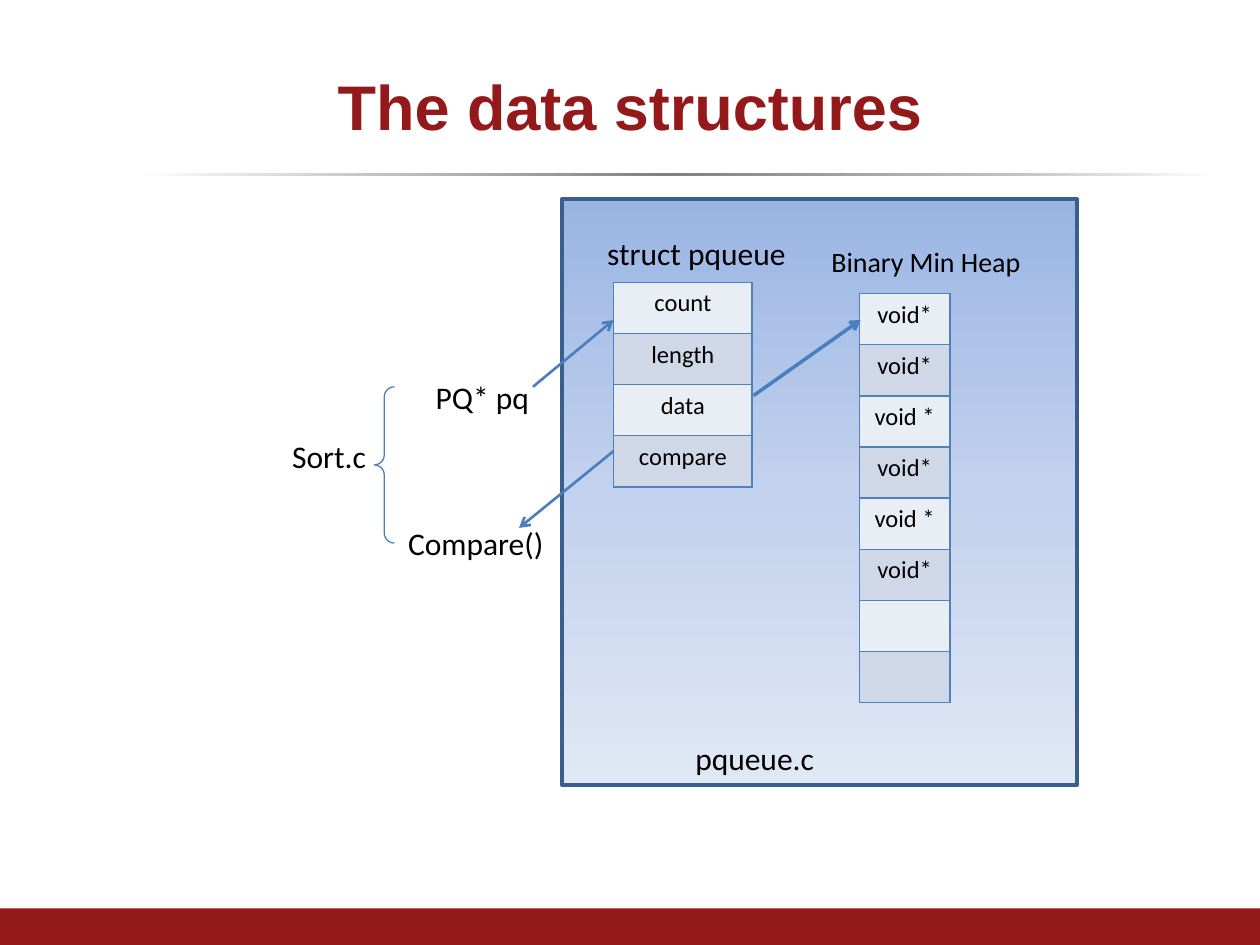
import pptx
import pptx.util
import pptx.dml.color
import pptx.enum.shapes
import pptx.enum.text
import pptx.oxml
import pptx.oxml.ns

THEME = {
    "title_font": "Arial", "body_font": "Calibri",
    "title_size": 36, "label_size": 18, "small_size": 16, "cell_size": 14,
    "accent": "93191B", "text": "000000", "arrow": "4B7EBC",
    "panel_line": "3A5F8C", "border": "4F81BD", "bands": ("E9EDF4", "D0D8E8"),
    "rule": [(0, "FFFFFF"), (24, "BFBFBF"), (49, "808080"), (80, "BFBFBF"), (100, "FFFFFF")],
    "panel": [(0, "9AB5E4"), (50, "C2D1ED"), (100, "E1E8F5")],
}
WIDTH, HEIGHT = 10, 7.5
ROW_HEIGHT = 3.25 / 8
TITLE = "The data structures"
TABLES = [
    (6.82, 2.33, 0.72, ["void*", "void*", "void *", "void*", "void *", "void*", "", ""]),
    (4.87, 2.24, 1.1, ["count", "length", "data", "compare"]),
]
LABELS = [
    ("Binary Min Heap", 6.5, 1.89, 2.06, 0.37, "small_size"),
    ("struct pqueue", 4.72, 1.81, 1.69, 0.4, "label_size"),
    ("PQ* pq", 3.36, 2.95, 1.5, 0.4, "label_size"),
    ("Compare()", 3.14, 4.11, 1.34, 0.4, "label_size"),
    ("Sort.c", 2.22, 3.42, 0.97, 0.4, "label_size"),
    ("pqueue.c", 5.42, 5.82, 1.96, 0.4, "label_size"),
]
ARROWS = [
    ((4.23, 3.07), (4.87, 2.54), 1.5),
    ((4.87, 3.58), (4.12, 4.19), 1.5),
    ((5.98, 3.14), (6.83, 2.54), 2),
]

SHAPES = pptx.enum.shapes.MSO_SHAPE
CENTER = pptx.enum.text.PP_ALIGN.CENTER
NAMESPACE = pptx.oxml.ns.nsdecls("a")


def inches(*values):
    return [pptx.util.Inches(value) for value in values]


def color(value):
    return pptx.dml.color.RGBColor.from_string(value)


def format_text(paragraph, size, font="body_font", ink="text", bold=False):
    for run in paragraph.runs:
        run.font.name = THEME[font]
        run.font.size = pptx.util.Pt(THEME[size])
        run.font.color.rgb = color(THEME[ink])
        run.font.bold = bold


def add_shape(kind, box, line=None, line_width=0):
    shape = slide.shapes.add_shape(kind, *inches(*box))
    shape.shadow.inherit = False
    shape.fill.background()
    if line:
        shape.line.color.rgb = color(THEME[line])
        shape.line.width = pptx.util.Pt(line_width)
    else:
        shape.line.fill.background()
    return shape


def fill_gradient(shape, stops, angle):
    shape.fill.gradient()
    gradient = shape._element.spPr.find(pptx.oxml.ns.qn("a:gradFill"))
    stop_xml = "".join(
        f'<a:gs pos="{position * 1000}"><a:srgbClr val="{value}"/></a:gs>'
        for position, value in stops)
    for child in list(gradient):
        gradient.remove(child)
    gradient.append(pptx.oxml.parse_xml(f"<a:gsLst {NAMESPACE}>{stop_xml}</a:gsLst>"))
    gradient.append(pptx.oxml.parse_xml(f'<a:lin {NAMESPACE} ang="{angle * 60000}" scaled="0"/>'))


def add_table(left, top, width, entries):
    box = inches(left, top, width, ROW_HEIGHT * len(entries))
    table = slide.shapes.add_table(len(entries), 1, *box).table
    table.first_row = False
    table.horz_banding = False
    for index, entry in enumerate(entries):
        table.rows[index].height = pptx.util.Inches(ROW_HEIGHT)
        cell = table.cell(index, 0)
        properties = cell._tc.get_or_add_tcPr()
        for side in ("lnL", "lnR", "lnT", "lnB"):
            properties.append(pptx.oxml.parse_xml(
                f'<a:{side} {NAMESPACE} w="12700"><a:solidFill>'
                f'<a:srgbClr val="{THEME["border"]}"/></a:solidFill></a:{side}>'))
        cell.fill.solid()
        cell.fill.fore_color.rgb = color(THEME["bands"][index % 2])
        if entry:
            cell.text_frame.text = entry
            paragraph = cell.text_frame.paragraphs[0]
            paragraph.alignment = CENTER
            format_text(paragraph, "cell_size")


def add_label(text, left, top, width, height, size):
    frame = slide.shapes.add_textbox(*inches(left, top, width, height)).text_frame
    frame.word_wrap = True
    frame.text = text
    format_text(frame.paragraphs[0], size)


def add_arrow(start, end, width):
    arrow = slide.shapes.add_connector(
        pptx.enum.shapes.MSO_CONNECTOR.STRAIGHT, *inches(*start, *end))
    arrow.line.color.rgb = color(THEME["arrow"])
    arrow.line.width = pptx.util.Pt(width)
    arrow.line._get_or_add_ln().append(
        pptx.oxml.parse_xml(f'<a:tailEnd {NAMESPACE} type="arrow"/>'))
    arrow._element.spPr.append(pptx.oxml.parse_xml(f"<a:effectLst {NAMESPACE}/>"))


presentation = pptx.Presentation()
presentation.slide_width, presentation.slide_height = inches(WIDTH, HEIGHT)
slide = presentation.slides.add_slide(presentation.slide_layouts[5])

title = slide.shapes.title
title.left, title.top, title.width, title.height = inches(0.5, 0.3, 9, 1.07)
title.text_frame.text = TITLE
title.text_frame.vertical_anchor = pptx.enum.text.MSO_ANCHOR.MIDDLE
title.text_frame.paragraphs[0].alignment = CENTER
format_text(title.text_frame.paragraphs[0], "title_size", "title_font", "accent", True)

rule = add_shape(SHAPES.RECTANGLE, (1.08, 1.37, 8.58, 0.03))
fill_gradient(rule, THEME["rule"], 0)
footer = add_shape(SHAPES.RECTANGLE, (0, HEIGHT - 0.29, WIDTH, 0.29))
footer.fill.solid()
footer.fill.fore_color.rgb = color(THEME["accent"])
panel = add_shape(SHAPES.RECTANGLE, (4.46, 1.58, 4.09, 4.65), "panel_line", 2)
fill_gradient(panel, THEME["panel"], 90)
brace = add_shape(SHAPES.LEFT_BRACE, (2.97, 3.07, 0.16, 1.24), "arrow", 0.75)
brace.adjustments[0] = 0.5

for table_entry in TABLES:
    add_table(*table_entry)
for label in LABELS:
    add_label(*label)
for arrow_entry in ARROWS:
    add_arrow(*arrow_entry)

presentation.save("out.pptx")
